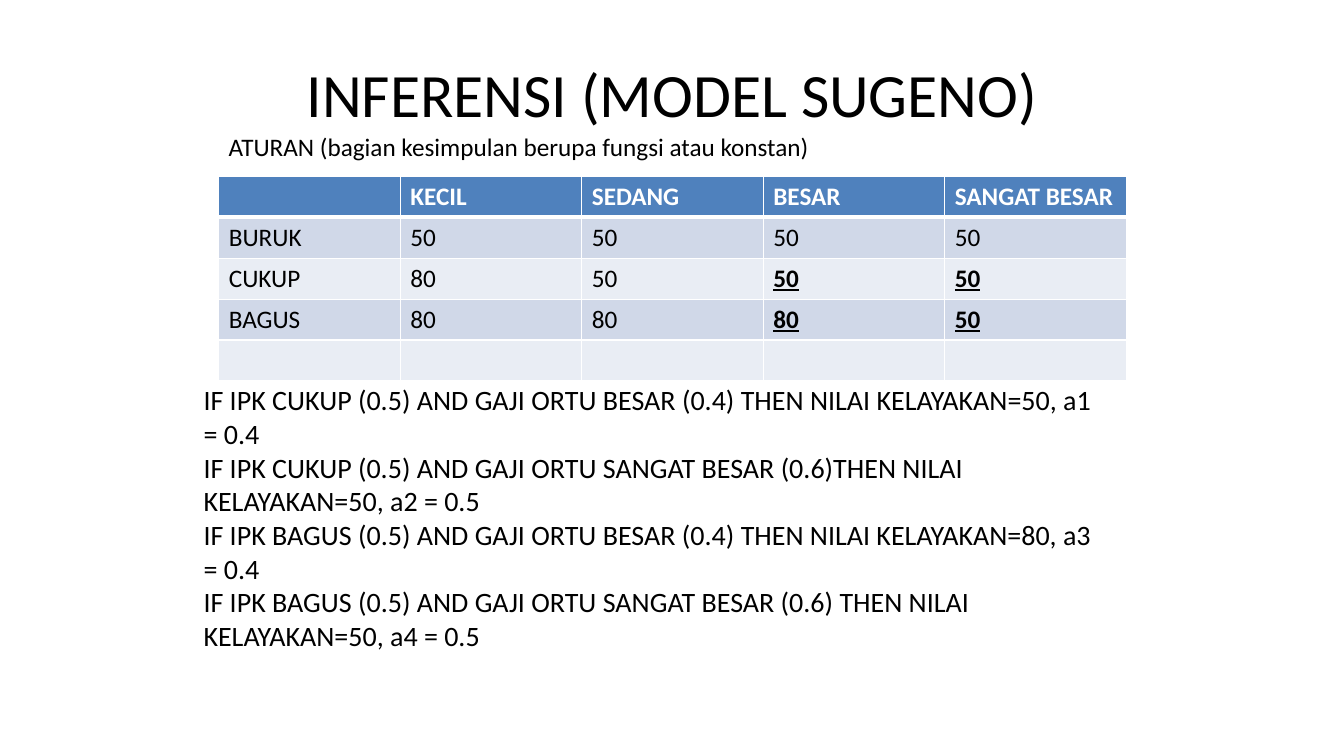
from lxml.etree import SubElement
from pptx import Presentation
from pptx.dml.color import RGBColor
from pptx.enum.text import MSO_ANCHOR, PP_ALIGN
from pptx.oxml.ns import qn
from pptx.util import Inches, Pt

BLACK = RGBColor(0x00, 0x00, 0x00)
WHITE = RGBColor(0xFF, 0xFF, 0xFF)
BLUE = RGBColor(0x4F, 0x81, 0xBD)
BANDS = RGBColor(0xD0, 0xD8, 0xE8), RGBColor(0xE9, 0xED, 0xF4)
FONT = "Calibri"

W, H = 13.33, 7.5
TITLE_BOX = (0.67, 0.3, 12, 1.25)
CAPTION_BOX = (2.17, 1.25, 6.02, 0.4)
TABLE_BOX = (2.17, 1.75, 9, 2.03)
RULES_BOX = (1.92, 3.75, 9.08, 2.79)

TITLE = "INFERENSI (MODEL SUGENO)"
CAPTION = "ATURAN (bagian kesimpulan berupa fungsi atau konstan)"
DECISIONS = [
    ["", "KECIL", "SEDANG", "BESAR", "SANGAT BESAR"],
    ["BURUK", "50", "50", "50", "50"],
    ["CUKUP", "80", "50", "50", "50"],
    ["BAGUS", "80", "80", "80", "50"],
    [""] * 5,
]
ACTIVE_ROWS, ACTIVE_COLS = (2, 3), (3, 4)
RULES = [
    "IF IPK CUKUP (0.5) AND GAJI ORTU BESAR (0.4) THEN NILAI KELAYAKAN=50, a1 = 0.4",
    "IF IPK CUKUP (0.5) AND GAJI ORTU SANGAT BESAR (0.6)THEN NILAI KELAYAKAN=50, a2 = 0.5",
    "IF IPK BAGUS (0.5) AND GAJI ORTU BESAR (0.4) THEN NILAI KELAYAKAN=80, a3 = 0.4",
    "IF IPK BAGUS (0.5) AND GAJI ORTU SANGAT BESAR (0.6) THEN NILAI KELAYAKAN=50, a4 = 0.5",
]


def set_font(p, size, color=BLACK, bold=False, underline=False):
    p.font.name, p.font.size = FONT, Pt(size)
    p.font.bold, p.font.underline = bold, underline
    p.font.color.rgb = color


def add_title(slide, box):
    sp = slide.shapes.title
    sp.left, sp.top, sp.width, sp.height = map(Inches, box)
    tf = sp.text_frame
    tf.text = TITLE
    tf.vertical_anchor = MSO_ANCHOR.MIDDLE
    p = tf.paragraphs[0]
    p.alignment = PP_ALIGN.CENTER
    set_font(p, 44)


def add_text(slide, box, lines, size, wrap=True):
    tf = slide.shapes.add_textbox(*map(Inches, box)).text_frame
    tf.word_wrap = wrap
    tf.text = "\n".join(lines)
    for p in tf.paragraphs:
        set_font(p, size)


def set_borders(cell, top, bottom):
    """Draw white cell borders, with the top and bottom widths in points."""
    tc_pr = cell._tc.get_or_add_tcPr()
    for side, width in (("L", 1), ("R", 1), ("T", top), ("B", bottom)):
        ln = SubElement(tc_pr, qn(f"a:ln{side}"), w=str(Pt(width)))
        fill = SubElement(ln, qn("a:solidFill"))
        SubElement(fill, qn("a:srgbClr"), val=str(WHITE))


def add_decision_table(slide, box):
    rows, cols = len(DECISIONS), len(DECISIONS[0])
    table = slide.shapes.add_table(rows, cols, *map(Inches, box)).table
    for i, values in enumerate(DECISIONS):
        header = i == 0
        for j, value in enumerate(values):
            cell = table.cell(i, j)
            set_borders(cell, top=3 if i == 1 else 1, bottom=3 if header else 1)
            cell.fill.solid()
            cell.fill.fore_color.rgb = BLUE if header else BANDS[(i - 1) % 2]
            cell.text = value
            active = i in ACTIVE_ROWS and j in ACTIVE_COLS
            set_font(cell.text_frame.paragraphs[0], 18,
                     WHITE if header else BLACK, header or active, active)


def main():
    prs = Presentation()
    prs.slide_width, prs.slide_height = Inches(W), Inches(H)
    slide = prs.slides.add_slide(prs.slide_layouts[5])
    add_title(slide, TITLE_BOX)
    add_decision_table(slide, TABLE_BOX)
    add_text(slide, CAPTION_BOX, [CAPTION], 18, wrap=False)
    add_text(slide, RULES_BOX, RULES, 20)
    prs.save("out.pptx")


if __name__ == "__main__":
    main()
